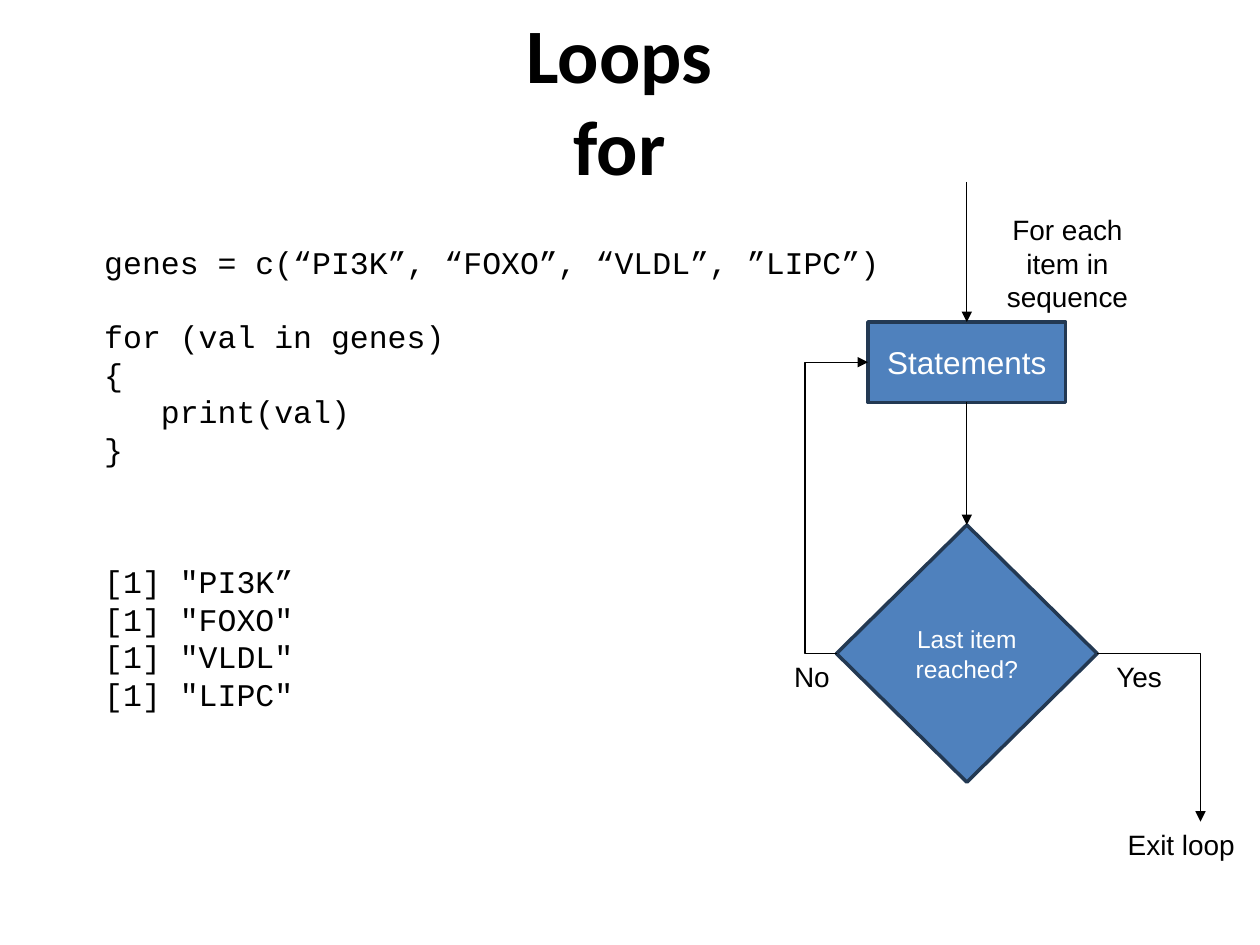
from dataclasses import dataclass

from lxml import etree
from pptx import Presentation
from pptx.dml.color import RGBColor
from pptx.enum.shapes import MSO_CONNECTOR, MSO_SHAPE
from pptx.enum.text import MSO_ANCHOR, MSO_AUTO_SIZE, PP_ALIGN
from pptx.oxml.ns import qn
from pptx.util import Pt

STRAIGHT, ELBOW = MSO_CONNECTOR.STRAIGHT, MSO_CONNECTOR.ELBOW
PROCESS, DECISION = MSO_SHAPE.FLOWCHART_PROCESS, MSO_SHAPE.FLOWCHART_DECISION
MIDDLE, TOP_ANCHOR = MSO_ANCHOR.MIDDLE, MSO_ANCHOR.TOP
CENTER, LEFT_ALIGN = PP_ALIGN.CENTER, PP_ALIGN.LEFT
TOP, LEFT, BOTTOM, RIGHT = range(4)  # connection sites


@dataclass(frozen=True)
class Theme:
    ink: RGBColor = RGBColor(0, 0, 0)
    paper: RGBColor = RGBColor(255, 255, 255)
    node: RGBColor = RGBColor(0x4F, 0x81, 0xBD)
    node_edge: RGBColor = RGBColor(0x23, 0x39, 0x53)
    heading_font: str = "Calibri"
    code_font: str = "Courier New"
    label_font: str = "Arial"
    heading_size: int = 44
    code_size: int = 18
    label_size: int = 16
    question_size: int = 14
    edge_width: int = 2
    arrow_width: float = 0.75


@dataclass(frozen=True)
class Box:
    left: float
    top: float
    width: float
    height: float

    def inner(self, left, top, width, height):
        return Box(self.left + left, self.top + top, width, height)

    def place(self):
        return [Pt(v) for v in (self.left, self.top, self.width, self.height)]


THEME = Theme()
CODE_LINE = 20.4  # height of one line of code
CODE_CHAR = 10.8  # width of one code character


def apply(target, values):
    for name, value in values.items():
        setattr(target, name, value)


def write(frame, lines, font, size, color, align=CENTER, bold=False):
    frame.text = "\n".join(lines)
    for paragraph in frame.paragraphs:
        paragraph.alignment = align
        for run in paragraph.runs:
            apply(run.font, {"name": font, "size": Pt(size), "bold": bold})
            run.font.color.rgb = color


def add_title(slide, box):
    title = slide.shapes.title
    apply(title, dict(zip(("left", "top", "width", "height"), box.place())))
    apply(title.text_frame, {
        "margin_left": 0, "margin_top": 0, "margin_right": 0, "margin_bottom": 0,
        "vertical_anchor": MIDDLE, "auto_size": MSO_AUTO_SIZE.NONE})
    write(title.text_frame, ["Loops\vfor"], THEME.heading_font,
          THEME.heading_size, THEME.ink, bold=True)


def add_code(slide, box, lines, wrap=True):
    frame = slide.shapes.add_textbox(*box.place()).text_frame
    apply(frame, {"word_wrap": wrap, "vertical_anchor": TOP_ANCHOR})
    write(frame, lines, THEME.code_font, THEME.code_size, THEME.ink, LEFT_ALIGN)
    return frame.paragraphs


def add_program(slide, box):
    paragraphs = add_code(slide, box, [
        "genes = c(“PI3K”, “FOXO”, “VLDL”, ”LIPC”)",
        "for (val in genes)", "{", "print(val)", "}"], wrap=False)
    paragraphs[1].space_before = Pt(CODE_LINE)
    # The loop body is indented by three characters
    indent = paragraphs[3]._p.get_or_add_pPr()
    indent.set("marL", str(Pt(3 * CODE_CHAR)))
    indent.set("indent", "0")


def add_output(slide, box):
    add_code(slide, box, ['[1] "PI3K”', '[1] "FOXO"', '[1] "VLDL"', '[1] "LIPC"'])


def add_label(slide, box, text):
    frame = slide.shapes.add_textbox(*box.place()).text_frame
    frame.word_wrap = True
    write(frame, [text], THEME.label_font, THEME.label_size, THEME.ink)


def add_node(slide, box, preset, text, size):
    node = slide.shapes.add_shape(preset, *box.place())
    node.shadow.inherit = False
    node.fill.solid()
    node.fill.fore_color.rgb = THEME.node
    node.line.color.rgb = THEME.node_edge
    node.line.width = Pt(THEME.edge_width)
    apply(node.text_frame, {"word_wrap": True, "vertical_anchor": MIDDLE})
    write(node.text_frame, [text], THEME.label_font, size, THEME.paper)
    return node


def add_arrow(slide, kind, start, end, source=None, target=None):
    """Draw an arrow; source and target are (node, site) pairs to join."""
    arrow = slide.shapes.add_connector(kind, *(Pt(v) for v in (*start, *end)))
    if source:
        arrow.begin_connect(*source)
    if target:
        arrow.end_connect(*target)
    arrow.line.color.rgb = THEME.ink
    arrow.line.width = Pt(THEME.arrow_width)
    etree.SubElement(arrow.line._get_or_add_ln(), qn("a:tailEnd"), type="triangle")
    etree.SubElement(arrow._element.spPr, qn("a:effectLst"))
    return arrow


def add_flowchart(slide, box):
    # Nodes share one vertical axis
    axis = 131.5
    statements_box = box.inner(axis - 56.5, 80, 113, 46)
    question_box = box.inner(axis - 74.5, 196, 149, 147)
    statements = add_node(slide, statements_box, PROCESS, "Statements", THEME.code_size)
    question = add_node(slide, question_box, DECISION, "Last item reached?",
                        THEME.question_size)

    # Arrows down the axis
    x = box.left + axis
    add_arrow(slide, STRAIGHT, (x, box.top), (x, statements_box.top),
              target=(statements, TOP))
    add_arrow(slide, STRAIGHT, (x, statements_box.top + statements_box.height),
              (x, question_box.top), (statements, BOTTOM), (question, TOP))

    # Way back, turning 18 pt left of the question
    middle = question_box.top + question_box.height / 2
    back = add_arrow(
        slide, ELBOW, (question_box.left, middle),
        (statements_box.left, statements_box.top + statements_box.height / 2),
        (question, LEFT), (statements, LEFT))
    turn = -18 / (statements_box.left - question_box.left)
    guides = back._element.spPr.prstGeom.get_or_add_avLst()
    etree.SubElement(guides, qn("a:gd"), name="adj1", fmla=f"val {round(turn * 100000)}")

    # Way out, with a single corner
    way_out = add_arrow(slide, ELBOW, (question_box.left + question_box.width, middle),
                        (box.left + 265, box.top + 365.5), (question, RIGHT))
    way_out._element.spPr.prstGeom.set("prst", "bentConnector2")

    # Labels
    for text, left, top, height in (
            ("For each item in sequence", 146, 14, 65.5),
            ("No", 0, 269.5, 26.5),
            ("Yes", 187, 269.5, 26.5),
            ("Exit loop", 211, 365.5, 26.5)):
        add_label(slide, box.inner(left, top, 86, height), text)


def main():
    deck = Presentation()
    deck.slide_width, deck.slide_height = Pt(720), Pt(540)
    slide = deck.slides.add_slide(deck.slide_layouts[5])
    add_title(slide, Box(30, 11.5, 648, 90))
    add_program(slide, Box(52.5, 135.5, 459.5, 160))
    add_output(slide, Box(52.5, 317.5, 360, 94.5))
    add_flowchart(slide, Box(421, 104, 297, 392))
    deck.save("out.pptx")


if __name__ == "__main__":
    main()
